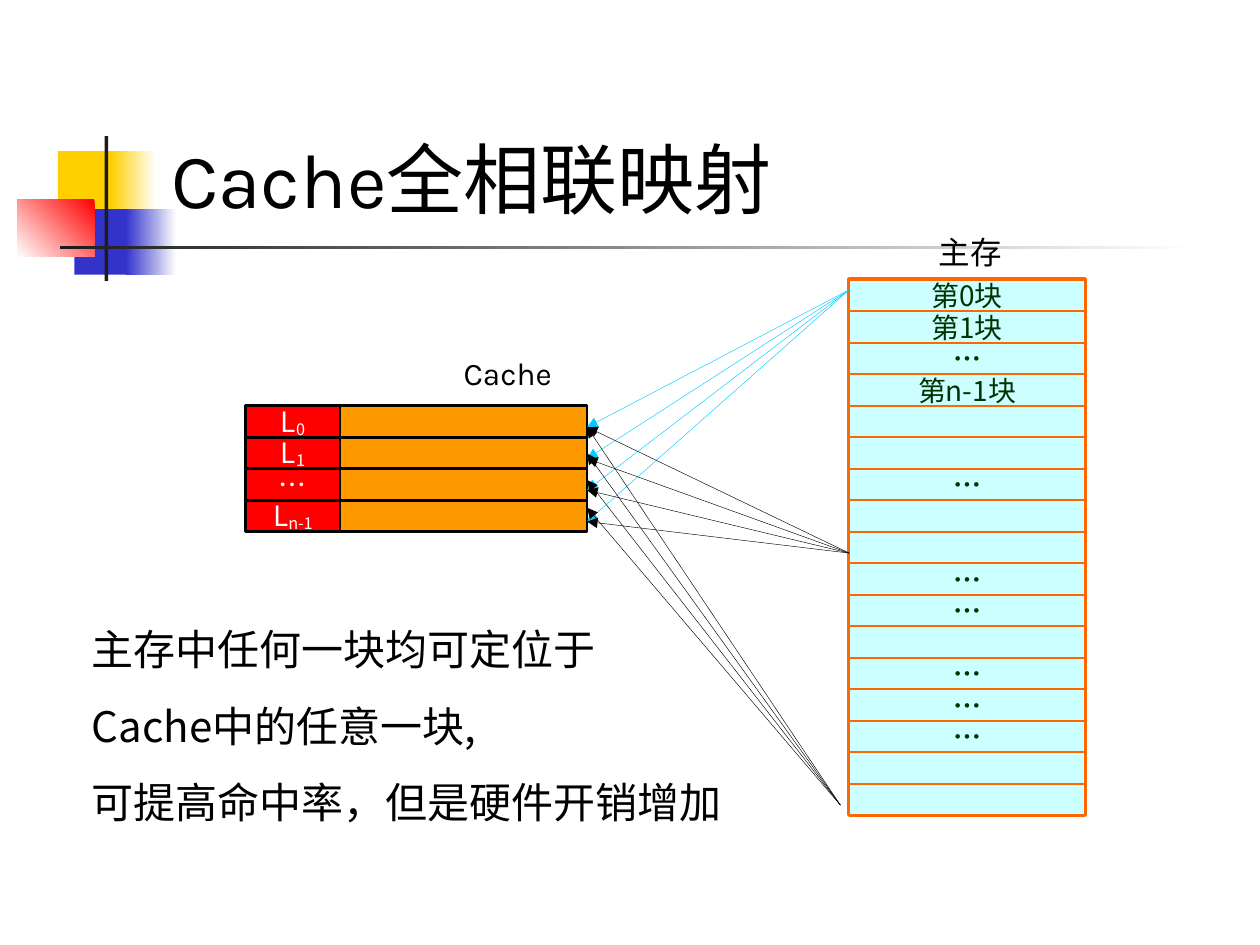
from dataclasses import dataclass

from lxml import etree
from pptx import Presentation
from pptx import util as u
from pptx.dml.color import RGBColor
from pptx.enum import shapes, text
from pptx.enum.lang import MSO_LANGUAGE_ID
from pptx.oxml.ns import qn

PX = 9144


@dataclass(frozen=True)
class Theme:
    """Colours, fonts and type sizes of the slide."""
    white: str = "FFFFFF"
    black: str = "000000"
    dark: str = "1C1C1C"
    yellow: str = "FFCF01"
    blue: str = "3333CC"
    red: str = "FF0000"
    orange: str = "FF9900"
    frame: str = "FF6600"
    block: str = "CCFFFF"
    block_text: str = "003300"
    arrow: str = "00CCFF"
    latin: str = "Karla"
    cell: str = "Noto Sans CJK SC"
    body: str = "Noto Sans CJK JP"
    title_size: int = 44
    body_size: int = 24
    label_size: int = 18
    cell_size: int = 16


T = Theme()


def box(*lengths):
    """Turn px lengths into EMU."""
    return [u.Emu(n * PX) for n in lengths]


def rgb(color):
    """Return the colour object for a hex string."""
    return RGBColor.from_string(color)


def add_run(p, words, font, size, color, bold=None, baseline=None):
    """Add one formatted run to a paragraph."""
    r = p.add_run()
    r.text = words
    f = r.font
    f.name, f.size, f.bold = font, u.Pt(size), bold
    f.color.rgb = rgb(color)
    f.language_id = MSO_LANGUAGE_ID.SIMPLIFIED_CHINESE
    rPr = r._r.get_or_add_rPr()
    etree.SubElement(rPr, qn("a:ea")).set("typeface", font)
    if baseline:
        rPr.set("baseline", str(baseline))


def add_rect(s, at, fill=None, line=None, width=1):
    """Add a plain rectangle."""
    sp = s.shapes.add_shape(shapes.MSO_SHAPE.RECTANGLE, *box(*at))
    sp.shadow.inherit = False
    if fill:
        sp.fill.solid()
        sp.fill.fore_color.rgb = rgb(fill)
    if line:
        sp.line.color.rgb = rgb(line)
        sp.line.width = u.Pt(width)
    else:
        sp.line.fill.background()
    return sp


def add_fade(s, at, start, end, angle=180):
    """Add a rectangle with a two-colour gradient."""
    fill = add_rect(s, at).fill
    fill.gradient()
    fill.gradient_angle = angle
    for stop, color in zip(fill.gradient_stops, (start, end)):
        stop.color.rgb = rgb(color)


def add_cell(s, at, fill, line, width, color, words="", sub="", bold=None):
    """Add a bordered cell with centred text and an optional subscript."""
    tf = add_rect(s, at, fill, line, width).text_frame
    tf.word_wrap = False
    tf.vertical_anchor = text.MSO_ANCHOR.MIDDLE
    p = tf.paragraphs[0]
    p.alignment = text.PP_ALIGN.CENTER
    if words:
        add_run(p, words, T.cell, T.cell_size, color, bold)
    if sub:
        add_run(p, sub, T.cell, T.cell_size, color, baseline=-10000)


def add_arrow(s, start, end, color):
    """Add a hairline arrow pointing at its end."""
    c = s.shapes.add_connector(shapes.MSO_CONNECTOR.STRAIGHT, *box(*start, *end))
    c.line.color.rgb = rgb(color)
    c.line.width = u.Pt(0.25)
    etree.SubElement(c.line._get_or_add_ln(), qn("a:tailEnd")).set("type", "triangle")
    etree.SubElement(c._element.spPr, qn("a:effectLst"))


def add_text(s, at, lines, font, size, align, before=0, pitch=None):
    """Add a wrapped text box with one paragraph per line."""
    tf = s.shapes.add_textbox(*box(*at)).text_frame
    tf.word_wrap = True
    for i, words in enumerate(lines):
        p = tf.add_paragraph() if i else tf.paragraphs[0]
        p.alignment = align
        if pitch:
            p.line_spacing = u.Pt(pitch)
        if i:
            p.space_before = u.Pt(before)
        add_run(p, words, font, size, T.black)


def add_decoration(s):
    """Add the coloured squares and rules beside the title."""
    add_rect(s, (46, 120, 48, 52), T.yellow)
    add_fade(s, (88, 120, 36, 52), T.white, T.yellow)
    add_rect(s, (59, 166, 46, 52), T.blue)
    add_fade(s, (100, 166, 40, 52), T.white, T.blue)
    add_fade(s, (14, 158, 61, 46), T.red, T.white, 225)
    add_rect(s, (83, 108, 3, 115), T.dark)
    add_fade(s, (48, 195, 900, 3), T.white, T.dark)


def add_title(s, words):
    """Fill and place the title placeholder."""
    sp = s.shapes.title
    sp.left, sp.top, sp.width, sp.height = box(126, 23, 852, 160)
    tf = sp.text_frame
    tf.vertical_anchor = text.MSO_ANCHOR.BOTTOM
    p = tf.paragraphs[0]
    p.alignment = text.PP_ALIGN.LEFT
    add_run(p, words, T.latin, T.title_size, T.black)


def add_memory(s):
    """Add the main memory column of seventeen blocks."""
    labels = {0: "第0块", 1: "第1块", 3: "第n-1块"}
    labels.update(dict.fromkeys((2, 6, 9, 10, 12, 13, 14), "…"))
    add_rect(s, (674, 222, 187, 424), T.frame, T.frame, 3)
    for i in range(17):
        words = labels.get(i, "")
        add_cell(s, (674, 222 + 25 * i, 187, 25), T.block, T.frame, 1,
                 T.block_text, words, bold=words == "…")


def add_cache(s):
    """Add the cache lines with their tags."""
    for i, (words, sub) in enumerate((("L", "0"), ("L", "1"), ("…", ""), ("L", "n-1"))):
        y = 322 + 25 * i
        add_cell(s, (270, y, 196, 25), T.orange, T.black, 1.5, T.white)
        add_cell(s, (195, y, 75, 25), T.red, T.black, 1.5, T.white, words, sub)


def add_mapping(s):
    """Link three memory blocks to every cache line."""
    for start, span, color in (((674, 230), 75, T.arrow),
                               ((667, 639), 64, T.black),
                               ((674, 439), 75, T.black)):
        for i in range(4):
            add_arrow(s, start, (466, 339 + span * i // 3), color)


def main():
    """Build and save the slide."""
    prs = Presentation()
    prs.slide_width, prs.slide_height = box(1000, 750)
    s = prs.slides.add_slide(prs.slide_layouts[5])
    add_decoration(s)
    add_title(s, "Cache全相联映射")
    add_memory(s)
    add_cache(s)
    center, left = text.PP_ALIGN.CENTER, text.PP_ALIGN.LEFT
    add_text(s, (353, 276, 100, 40), ["Cache"], T.latin, T.label_size, center)
    add_text(s, (720, 180, 100, 40), ["主存"], T.latin, T.label_size, center)
    add_mapping(s)
    add_text(s, (63, 490, 533, 172),
             ["主存中任何一块均可定位于", "Cache中的任意一块,", "可提高命中率，但是硬件开销增加"],
             T.body, T.body_size, left, before=15, pitch=28.8)
    prs.save("out.pptx")


if __name__ == "__main__":
    main()
